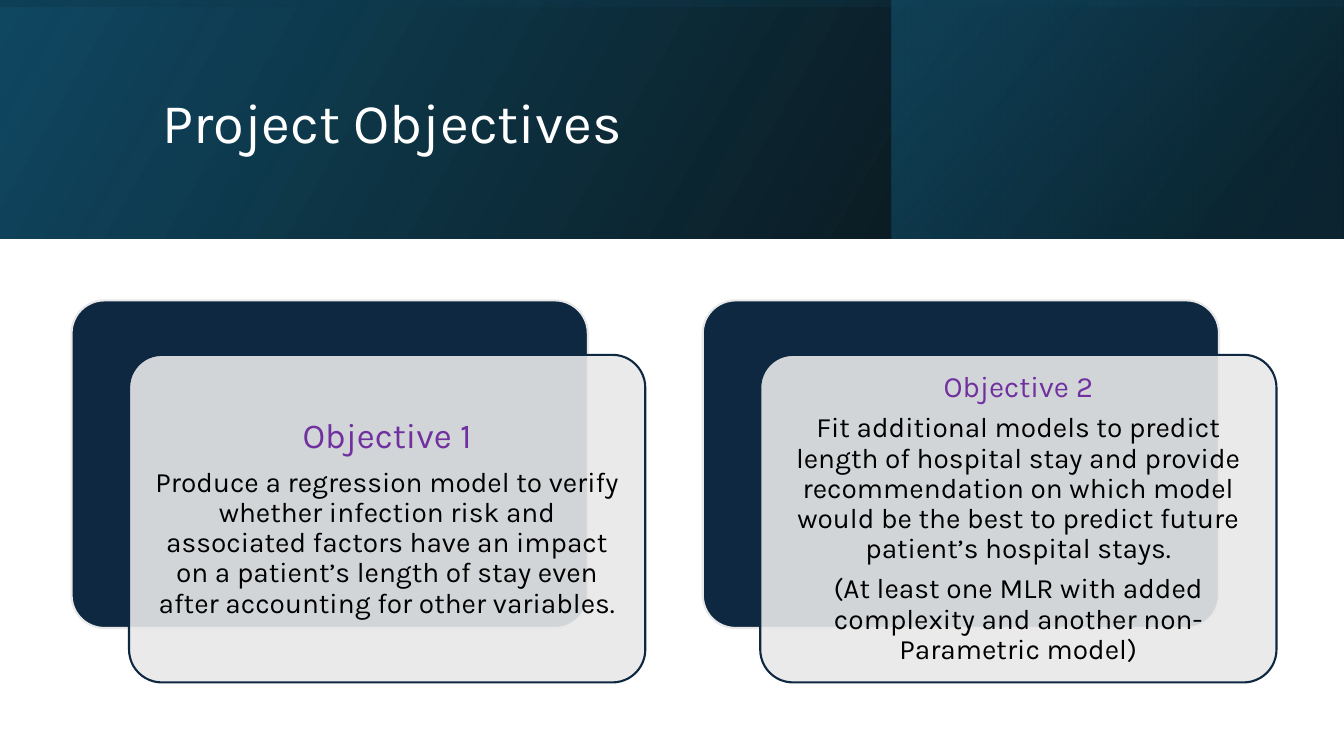
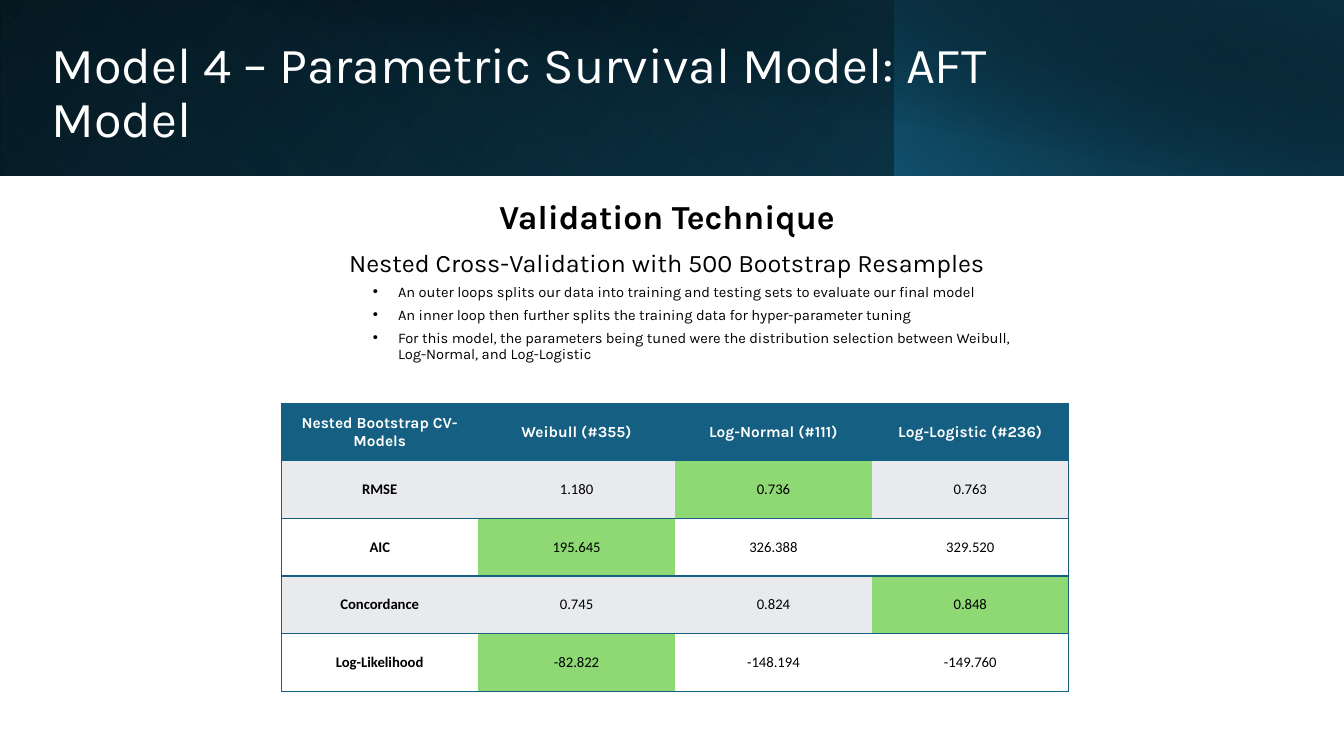
import pptx
import pptx.util
import pptx.dml.color
import pptx.enum.shapes
import pptx.enum.text
import pptx.oxml
import pptx.oxml.ns
import lxml.etree

Inches = pptx.util.Inches
Pt = pptx.util.Pt
ALIGN = pptx.enum.text.PP_ALIGN
SHAPE = pptx.enum.shapes.MSO_SHAPE
qn = pptx.oxml.ns.qn

SLIDE_WIDTH, SLIDE_HEIGHT = 13.33, 7.5
FONT, NUMBER_FONT = "Karla", "Calibri"
COLORS = {
    "black": "000000",
    "white": "FFFFFF",
    "navy": "0E2841",
    "ocean": "104862",
    "deep": "0B3041",
    "teal": "156082",
    "card": "E8E8E8",
    "stripe": "E8EAED",
    "best": "8ED973",
    "heading": "7030A0",
}


def rgb(name):
    return pptx.dml.color.RGBColor.from_string(COLORS[name])


def write_text(frame, text, size, color="black", bold=False, font=FONT,
               align=ALIGN.LEFT, line_spacing=0.9, before=0, after=0, bullet=False):
    """Fill the empty first paragraph of the frame, or add one after the others."""
    first = frame.paragraphs[0]
    paragraph = frame.add_paragraph() if first.runs else first
    paragraph.alignment = align
    paragraph.line_spacing = line_spacing
    paragraph.space_before = Pt(before)
    paragraph.space_after = Pt(after)
    if bullet:
        properties = paragraph._p.get_or_add_pPr()
        properties.set("marL", str(Inches(0.75)))
        properties.set("indent", str(Inches(-0.25)))
        lxml.etree.SubElement(properties, qn("a:buFont")).set("typeface", "Arial")
        lxml.etree.SubElement(properties, qn("a:buChar")).set("char", "•")
    run = paragraph.add_run()
    run.text = text
    run.font.size = Pt(size)
    run.font.name = font
    run.font.bold = bold
    run.font.color.rgb = rgb(color)


def prepare_frame(frame, margin=None):
    frame.word_wrap = True
    frame.auto_size = pptx.enum.text.MSO_AUTO_SIZE.NONE
    frame.vertical_anchor = pptx.enum.text.MSO_ANCHOR.MIDDLE
    if margin is not None:
        frame.margin_left = frame.margin_right = Inches(margin)
        frame.margin_top = frame.margin_bottom = Inches(margin)
    return frame


def add_band_layer(slide, left, width, height, stops, angle, rotation=0, flip=True):
    """Lay a gradient on the top band; stops are (position, colour, opacity) in percent."""
    box_width, box_height = (height, width) if rotation % 180 else (width, height)
    layer = slide.shapes.add_shape(
        SHAPE.RECTANGLE,
        Inches(left + (width - box_width) / 2), Inches((height - box_height) / 2),
        Inches(box_width), Inches(box_height))
    layer.shadow.inherit = False
    layer.line.fill.background()
    layer.rotation = rotation
    properties = layer.element.spPr
    transform = properties.find(qn("a:xfrm"))
    if flip:
        transform.set("flipH", "1")
    stop_xml = "".join(
        f'<a:gs pos="{position * 1000}"><a:srgbClr val="{COLORS[color]}">'
        f'<a:alpha val="{opacity * 1000}"/></a:srgbClr></a:gs>'
        for position, color, opacity in stops)
    properties.find(qn("a:prstGeom")).addnext(pptx.oxml.parse_xml(
        f'<a:gradFill {pptx.oxml.ns.nsdecls("a")} rotWithShape="1"><a:gsLst>{stop_xml}'
        f'</a:gsLst><a:lin ang="{angle * 60000}" scaled="0"/></a:gradFill>'))


def add_banner_slide(presentation, title, title_box, title_size, layers):
    slide = presentation.slides.add_slide(presentation.slide_layouts[5])
    for layer in layers:
        add_band_layer(slide, **layer)
    placeholder = slide.shapes.title
    placeholder.left, placeholder.top, placeholder.width, placeholder.height = map(
        Inches, title_box)
    write_text(prepare_frame(placeholder.text_frame), title, title_size, "white")
    # The title has to lie in front of the band.
    placeholder.element.getparent().append(placeholder.element)
    return slide


def add_rounded_panel(slide, left, top, fill, line, opacity=100):
    panel = slide.shapes.add_shape(
        SHAPE.ROUNDED_RECTANGLE, Inches(left), Inches(top), Inches(5.12), Inches(3.25))
    panel.adjustments[0] = 0.1
    panel.shadow.inherit = False
    panel.fill.solid()
    panel.fill.fore_color.rgb = rgb(fill)
    panel.line.color.rgb = rgb(line)
    panel.line.width = Pt(1.5)
    if opacity < 100:
        color = panel.element.spPr.find(qn("a:solidFill")).find(qn("a:srgbClr"))
        lxml.etree.SubElement(color, qn("a:alpha")).set("val", str(opacity * 1000))
    return panel


def add_objective(slide, left, top, heading, heading_size, texts):
    add_rounded_panel(slide, left, top, "navy", "card")
    card = add_rounded_panel(slide, left + 0.57, top + 0.54, "card", "navy", opacity=90)
    frame = prepare_frame(card.text_frame, margin=0.1)
    lines = [(heading, heading_size, "heading")] + [(text, 20, "black") for text in texts]
    for text, size, color in lines:
        write_text(frame, text, size, color, align=ALIGN.CENTER, after=0.35 * size)


def add_validation_text(slide, left, top, width, height):
    box = slide.shapes.add_textbox(Inches(left), Inches(top), Inches(width), Inches(height))
    frame = prepare_frame(box.text_frame)
    write_text(frame, "Validation Technique", 24, bold=True, align=ALIGN.CENTER, before=10)
    write_text(frame, "Nested Cross-Validation with 500 Bootstrap Resamples", 18,
               align=ALIGN.CENTER, before=10)
    for text in (
        "An outer loops splits our data into training and testing sets to evaluate our final model",
        "An inner loop then further splits the training data for hyper-parameter tuning",
        "For this model, the parameters being tuned were the distribution selection between "
        "Weibull, Log-Normal, and Log-Logistic",
    ):
        write_text(frame, text, 10.5, before=5, bullet=True)


def set_borders(cell, visible_sides):
    properties = cell._tc.get_or_add_tcPr()
    for index, side in enumerate("LRTB"):
        paint = (f'<a:solidFill><a:srgbClr val="{COLORS["teal"]}"/></a:solidFill>'
                 if side in visible_sides else "<a:noFill/>")
        properties.insert(index, pptx.oxml.parse_xml(
            f'<a:ln{side} {pptx.oxml.ns.nsdecls("a")} w="{Pt(1)}">{paint}</a:ln{side}>'))


def add_score_table(slide, left, top, width, height, rows, best_cells):
    column_count = len(rows[0])
    table = slide.shapes.add_table(
        len(rows), column_count,
        Inches(left), Inches(top), Inches(width), Inches(height)).table
    table.first_row = table.horz_banding = False
    for row_index, row in enumerate(rows):
        for column_index, text in enumerate(row):
            cell = table.cell(row_index, column_index)
            header = row_index == 0
            if header:
                fill = "teal"
            elif (row_index, column_index) in best_cells:
                fill = "best"
            else:
                fill = "stripe" if row_index % 2 else "white"
            cell.fill.solid()
            cell.fill.fore_color.rgb = rgb(fill)
            cell.vertical_anchor = pptx.enum.text.MSO_ANCHOR.MIDDLE
            cell.margin_left = cell.margin_right = Inches(0.08)
            cell.margin_top = cell.margin_bottom = 0
            write_text(cell.text_frame, text, 11 if header else 10.5,
                       "white" if header else "black",
                       bold=header or column_index == 0,
                       font=FONT if header else NUMBER_FONT,
                       align=ALIGN.CENTER, line_spacing=1.0)
            set_borders(cell, "TB" + "L" * (column_index == 0)
                        + "R" * (column_index == column_count - 1))


def build_objectives_slide(presentation):
    height = 2.37
    slide = add_banner_slide(
        presentation, "Project Objectives", (1.51, 0.38, 10.63, 1.72), 40,
        [
            dict(left=0, width=SLIDE_WIDTH, height=height, angle=330,
                 stops=[(0, "black", 96), (100, "ocean", 100)]),
            dict(left=8.84, width=4.48, height=height, angle=320,
                 stops=[(19, "deep", 68), (100, "teal", 48)]),
            dict(left=0, width=SLIDE_WIDTH, height=height, angle=350, rotation=270,
                 stops=[(23, "ocean", 16), (99, "black", 45)]),
        ])
    objectives = [
        ("Objective 1", 25, [
            "Produce a regression model to verify whether infection risk and associated factors "
            "have an impact on a patient’s length of stay even after accounting for other "
            "variables."]),
        ("Objective 2", 21, [
            "Fit additional models to predict length of hospital stay and provide recommendation "
            "on which model would be the best to predict future patient’s hospital stays.",
            "(At least one MLR with added complexity and another non-Parametric model)"]),
    ]
    for index, objective in enumerate(objectives):
        add_objective(slide, 0.71 + index * 6.26, 2.98, *objective)


def build_validation_slide(presentation):
    height = 1.74
    slide = add_banner_slide(
        presentation, "Model 4 – Parametric Survival Model: AFT Model",
        (0.41, 0.37, 10.82, 1.13), 36,
        [
            dict(left=0, width=SLIDE_WIDTH, height=height, angle=140,
                 stops=[(0, "black", 100), (100, "ocean", 100)]),
            dict(left=0, width=8.88, height=height, angle=230, rotation=180,
                 stops=[(20, "teal", 0), (100, "deep", 55)]),
            dict(left=8.87, width=4.46, height=height, angle=220,
                 stops=[(0, "teal", 66), (100, "black", 30)]),
            dict(left=0.5, width=12.83, height=height, angle=280, flip=False,
                 stops=[(50, "black", 0), (99, "deep", 52)]),
        ])
    add_validation_text(slide, 3.1, 1.74, 7.03, 2.1)
    scores = [
        ("Nested Bootstrap CV-Models", "Weibull (#355)", "Log-Normal (#111)",
         "Log-Logistic (#236)"),
        ("RMSE", "1.180", "0.736", "0.763"),
        ("AIC", "195.645", "326.388", "329.520"),
        ("Concordance", "0.745", "0.824", "0.848"),
        ("Log-Likelihood", "-82.822", "-148.194", "-149.760"),
    ]
    add_score_table(slide, 2.79, 4, 7.81, 2.86, scores,
                    best_cells={(1, 2), (2, 1), (3, 3), (4, 1)})


def main():
    presentation = pptx.Presentation()
    presentation.slide_width = Inches(SLIDE_WIDTH)
    presentation.slide_height = Inches(SLIDE_HEIGHT)
    build_objectives_slide(presentation)
    build_validation_slide(presentation)
    presentation.save("out.pptx")


if __name__ == "__main__":
    main()
